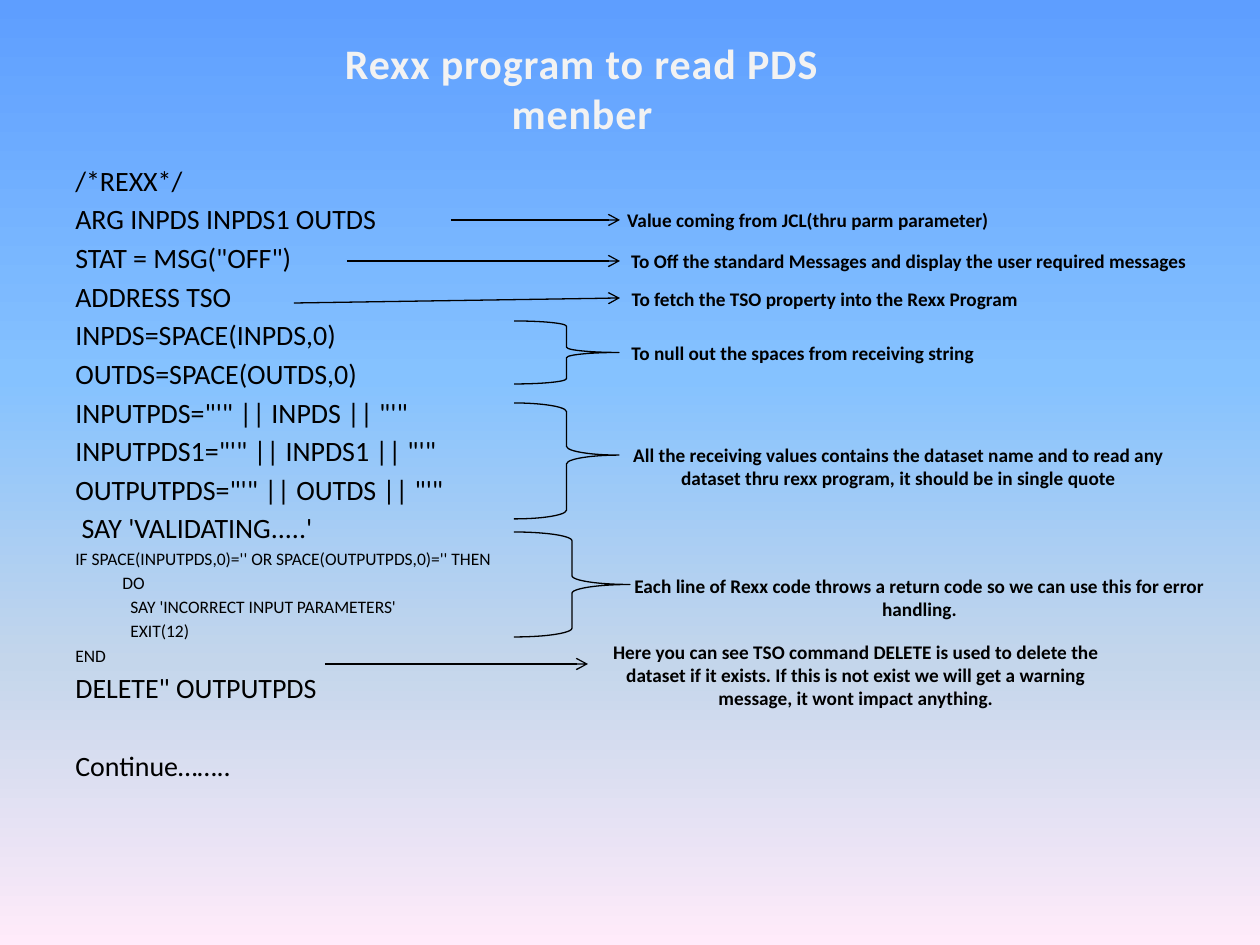
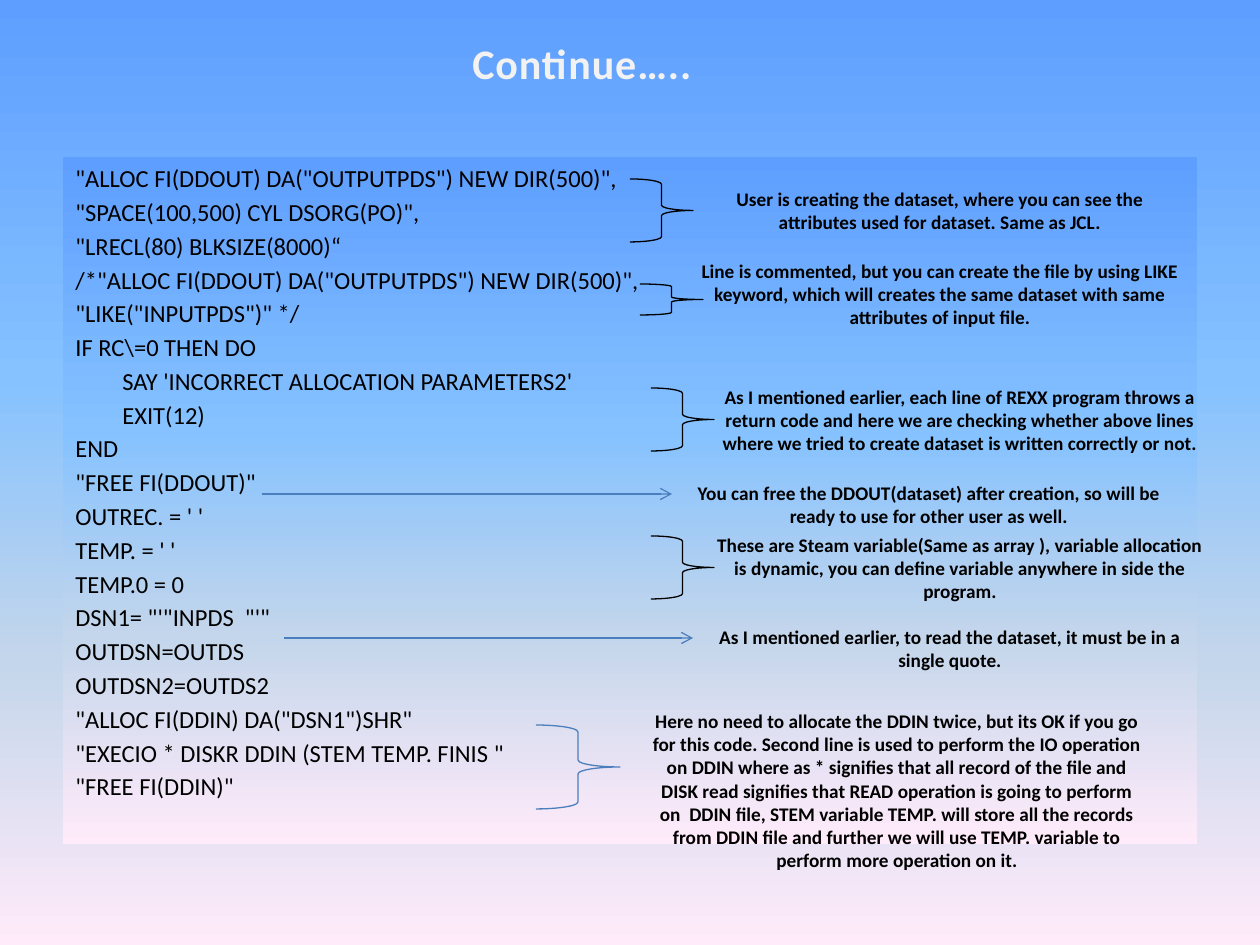
"""Builds two slides that explain a Rexx program, with notes beside the code."""
from lxml import etree
from pptx import Presentation
from pptx.dml.color import RGBColor
from pptx.enum.shapes import MSO_CONNECTOR, MSO_SHAPE
from pptx.enum.text import MSO_ANCHOR, PP_ALIGN
from pptx.oxml.ns import qn
from pptx.util import Emu, Pt

STRAIGHT = MSO_CONNECTOR.STRAIGHT
RIGHT_BRACE = MSO_SHAPE.RIGHT_BRACE
RECTANGLE = MSO_SHAPE.RECTANGLE
TOP, MIDDLE = MSO_ANCHOR.TOP, MSO_ANCHOR.MIDDLE
LEFT, CENTER = PP_ALIGN.LEFT, PP_ALIGN.CENTER

PIXELS_PER_INCH = 126
FONT = "Calibri"
COLOURS = {"text": "000000", "title": "F2F2F2", "line": "000000", "accent": "4B7EBC"}
SKY = [(0, "5E9EFF"), (40, "85C2FF"), (70, "C4D6EB"), (100, "FFEBFA")]
CODE_BOX = (63, 157, 1134, 687)
TAB = 47
PARAGRAPH_GAP = 0.18
NOTE_WIDTH, NOTE_HEIGHT = 514, 63

READ_CODE = [
    ("/*REXX*/", {}),
    ("ARG INPDS INPDS1 OUTDS", {}),
    ('STAT = MSG("OFF")', {}),
    ("ADDRESS TSO", {}),
    ("INPDS=SPACE(INPDS,0)", {}),
    ("OUTDS=SPACE(OUTDS,0)", {}),
    ('INPUTPDS="\'" || INPDS || "\'"', {}),
    ('INPUTPDS1="\'" || INPDS1 || "\'"', {}),
    ('OUTPUTPDS="\'" || OUTDS || "\'"', {}),
    (" SAY 'VALIDATING.....'", {}),
    ("IF SPACE(INPUTPDS,0)='' OR SPACE(OUTPUTPDS,0)='' THEN", {"size": 10}),
    ("DO", {"size": 10, "indent": TAB}),
    ("SAY 'INCORRECT INPUT PARAMETERS'", {"size": 10, "indent": TAB + 8}),
    ("EXIT(12)", {"size": 10, "indent": TAB + 8}),
    ("END", {"size": 10}),
    ('DELETE" OUTPUTPDS', {}),
    ("Continue……..", {"space_before": 25.3}),
]
READ_NOTES = [
    ((577, 193, 462, 53), "Value coming from JCL(thru parm parameter)"),
    ((599, 234, 620, 53), "To Off the standard Messages and display the user required messages"),
    ((557, 272, 536, 53), "To fetch the TSO property into the Rexx Program"),
    ((546, 326, 514, 53), "To null out the spaces from receiving string"),
    ((599, 440, 599, 53), "All the receiving values contains the dataset name and to read any "
     "dataset thru rexx program, it should be in single quote"),
    ((620, 571, 599, 53), "Each line of Rexx code throws a return code so we can use this for "
     "error handling."),
    ((599, 643, 514, 63), "Here you can see TSO command DELETE is used to delete the dataset if "
     "it exists. If this is not exist we will get a warning message, it wont impact anything."),
]
READ_ARROWS = [(451, 220, 620, 220), (347, 261, 620, 261), (294, 303, 620, 298),
               (325, 664, 588, 664)]
READ_BRACES = [((514, 321, 105, 63), {}), ((514, 403, 105, 116), {"point": 0.45}),
               ((514, 532, 116, 105), {})]

ALLOCATE_CODE = [
    ('"ALLOC FI(DDOUT) DA("OUTPUTPDS") NEW DIR(500)",', {}),
    ('"SPACE(100,500) CYL DSORG(PO)",', {}),
    ('"LRECL(80) BLKSIZE(8000)“', {}),
    ('/*"ALLOC FI(DDOUT) DA("OUTPUTPDS") NEW DIR(500)",', {}),
    ('"LIKE("INPUTPDS")" */', {}),
    ("IF RC\\=0 THEN DO", {}),
    ("SAY 'INCORRECT ALLOCATION PARAMETERS2'", {"indent": TAB}),
    ("EXIT(12)", {"indent": TAB}),
    ("END", {}),
    ('"FREE FI(DDOUT)"', {}),
    ("OUTREC. = ' '", {}),
    ("TEMP. = ' '", {}),
    ("TEMP.0 = 0", {}),
    ('DSN1= "\'"INPDS  "\'"', {}),
    ("OUTDSN=OUTDS", {}),
    ("OUTDSN2=OUTDS2", {}),
    ('"ALLOC FI(DDIN) DA("DSN1")SHR"', {}),
    ('"EXECIO * DISKR DDIN (STEM TEMP. FINIS "', {}),
    ('"FREE FI(DDIN)"', {}),
]
ALLOCATE_NOTES = [
    (683, 179, "User is creating the dataset, where you can see the attributes used for "
     "dataset. Same as JCL."),
    (683, 262, "Line is commented, but you can create the file by using LIKE keyword, which "
     "will creates the same dataset with same attributes of input file."),
    (703, 388, "As I mentioned earlier, each line of REXX program throws a return code and "
     "here we are checking whether above lines where we tried to create dataset is written "
     "correctly or not."),
    (672, 473, "You can free the DDOUT(dataset) after creation, so will be ready to use for "
     "other user as well."),
    (703, 536, "These are Steam variable(Same as array ), variable allocation is dynamic, you "
     "can define variable anywhere in side the program."),
    (693, 617, "As I mentioned earlier, to read the dataset, it must be in a single quote."),
    (640, 759, "Here no need to allocate the DDIN twice, but its OK if you go for this code. "
     "Second line is used to perform the IO operation on DDIN where as * signifies that all "
     "record of the file and DISK read signifies that READ operation is going to perform on  "
     "DDIN file, STEM variable TEMP. will store all the records from DDIN file and further we "
     "will use TEMP. variable to perform more operation on it."),
]
ALLOCATE_ARROWS = [(262, 494, 672, 494), (284, 638, 693, 638)]
ALLOCATE_BRACES = [((630, 179, 63, 63), {}), ((640, 284, 63, 31), {}), ((651, 388, 63, 63), {}),
                   ((651, 536, 63, 63), {}), ((536, 725, 84, 84), {"colour": "accent"})]


def px(*lengths):
    """Turn pixel lengths into a list of EMU lengths."""
    return [Emu(round(length * 914400 / PIXELS_PER_INCH)) for length in lengths]


def rgb(name):
    """Return a named colour."""
    return RGBColor.from_string(COLOURS[name])


def fill_sky(fill, element):
    """Give a fill the vertical sky gradient."""
    fill.gradient()
    fill.gradient_angle = 270
    stops = next(element.iter(qn("a:gsLst")))
    for stop in list(stops):
        stops.remove(stop)
    for position, colour in SKY:
        stop = etree.SubElement(stops, qn("a:gs"), pos=str(position * 1000))
        etree.SubElement(stop, qn("a:srgbClr"), val=colour)


def write(paragraph, text, size=11, bold=False, colour="text", align=LEFT, indent=0,
          space_before=0, spacing=0):
    """Write one formatted run into a paragraph."""
    paragraph.alignment = align
    paragraph.space_before = Pt(space_before)
    if indent:
        paragraph._p.get_or_add_pPr().set("marL", str(px(indent)[0]))
    run = paragraph.add_run()
    run.text = text
    run.font.name, run.font.size, run.font.bold = FONT, Pt(size), bold
    run.font.color.rgb = rgb(colour)
    if spacing:
        run.font._element.set("spc", str(round(spacing * 100)))


def add_text(slide, box, text, anchor=TOP, **style):
    """Add a wrapping text box with one paragraph."""
    frame = slide.shapes.add_textbox(*px(*box)).text_frame
    frame.word_wrap = True
    frame.vertical_anchor = anchor
    write(frame.paragraphs[0], text, **style)


def add_note(slide, box, text):
    """Add a bold centred note."""
    add_text(slide, box, text, anchor=MIDDLE, bold=True, align=CENTER)


def add_code(slide, lines, size, panel=False):
    """Add the code listing, on a gradient panel if wanted."""
    if panel:
        shape = slide.shapes.add_shape(RECTANGLE, *px(*CODE_BOX))
        shape.shadow.inherit = False
        shape.line.fill.background()
        fill_sky(shape.fill, shape._element)
    else:
        shape = slide.shapes.add_textbox(*px(*CODE_BOX))
    frame = shape.text_frame
    frame.word_wrap = True
    frame.vertical_anchor = TOP
    for index, (text, style) in enumerate(lines):
        paragraph = frame.add_paragraph() if index else frame.paragraphs[0]
        style = {"size": size, **style}
        gap = round(style["size"] * PARAGRAPH_GAP, 1) if index else 0
        write(paragraph, text, **{"space_before": gap, **style})


def add_arrow(slide, ends, colour="line"):
    """Add a thin line with an open arrowhead at its end."""
    connector = slide.shapes.add_connector(STRAIGHT, *px(*ends))
    connector.line.width = Pt(0.75)
    connector.line.color.rgb = rgb(colour)
    etree.SubElement(connector.line._get_or_add_ln(), qn("a:tailEnd"), type="arrow")
    etree.SubElement(connector._element.spPr, qn("a:effectLst"))


def add_brace(slide, box, colour="line", point=0.5):
    """Add a right brace whose tip sits at the given share of its height."""
    shape = slide.shapes.add_shape(RIGHT_BRACE, *px(*box))
    shape.shadow.inherit = False
    shape.fill.background()
    shape.line.width = Pt(0.75)
    shape.line.color.rgb = rgb(colour)
    shape.adjustments[1] = point


def add_slide(presentation, title):
    """Add a blank slide with the shared background and title."""
    slide = presentation.slides.add_slide(presentation.slide_layouts[6])
    fill_sky(slide.background.fill, slide._element)
    add_text(slide, (262, 31, 640, 63), title, size=24, bold=True, colour="title",
             align=CENTER, spacing=0.5)
    return slide


def add_marks(slide, notes, arrows, braces, arrow_colour="line"):
    """Add the notes, arrows and braces that explain the code."""
    for box, text in notes:
        add_note(slide, box, text)
    for ends in arrows:
        add_arrow(slide, ends, arrow_colour)
    for box, style in braces:
        add_brace(slide, box, **style)


def main():
    """Build and save the presentation."""
    presentation = Presentation()
    presentation.slide_width, presentation.slide_height = px(1260, 945)

    slide = add_slide(presentation, "Rexx program to read PDS menber")
    add_code(slide, READ_CODE, 16)
    add_marks(slide, READ_NOTES, READ_ARROWS, READ_BRACES)

    slide = add_slide(presentation, "Continue…..")
    add_code(slide, ALLOCATE_CODE, 14, panel=True)
    notes = [((left, top, NOTE_WIDTH, NOTE_HEIGHT), text) for left, top, text in ALLOCATE_NOTES]
    add_marks(slide, notes, ALLOCATE_ARROWS, ALLOCATE_BRACES, "accent")

    presentation.save("out.pptx")


main()
